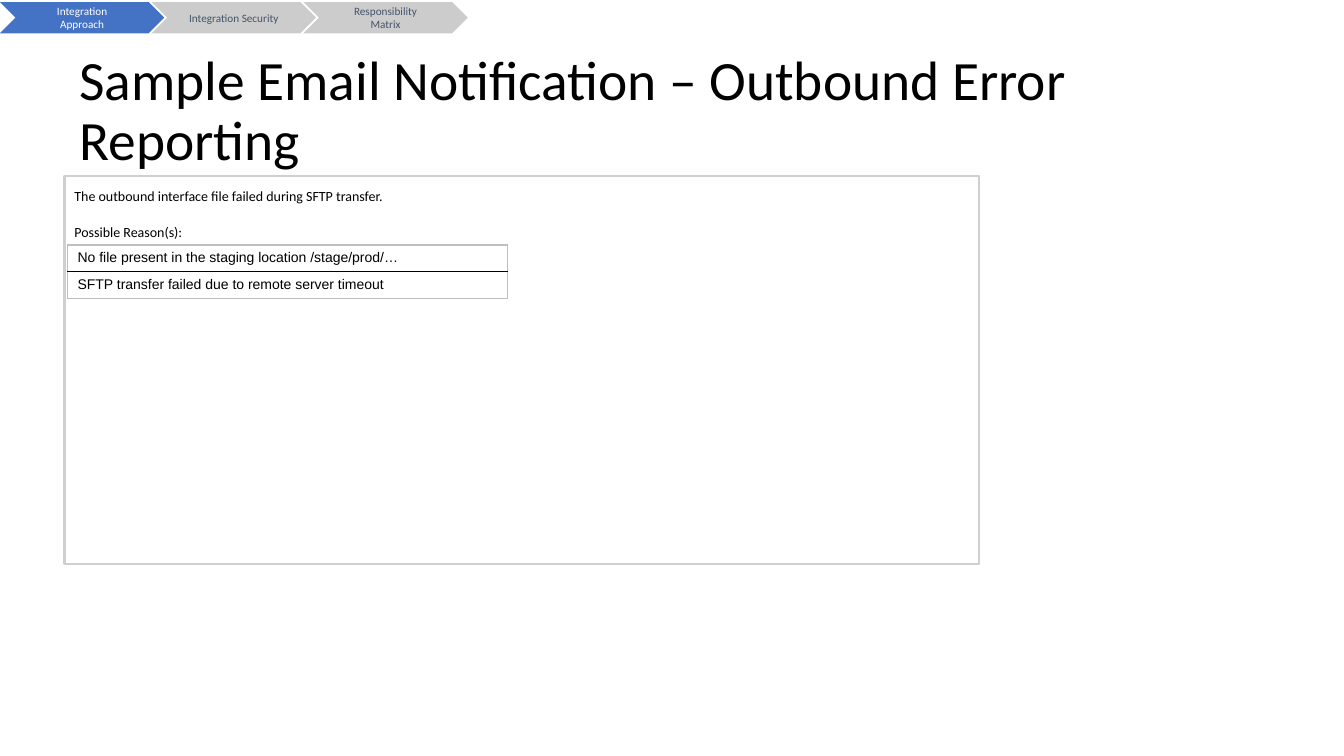
from dataclasses import dataclass

from lxml.etree import SubElement
from pptx import Presentation
from pptx.dml.color import RGBColor as Rgb
from pptx.enum.shapes import MSO_SHAPE as Shape
from pptx.enum.text import MSO_ANCHOR as Anchor, PP_ALIGN as Align
from pptx.oxml.ns import qn
from pptx.util import Inches, Pt


@dataclass(frozen=True)
class Theme:
    font: str = "Calibri"
    cell_font: str = "Arial"
    ink: str = "000000"
    white: str = "FFFFFF"
    blue: str = "4472C4"
    slate: str = "44546A"
    gray: str = "CCCCCC"
    frame: str = "D0CECE"
    edge: str = "BFBFBF"
    title: float = 39.6
    body: float = 10
    step: float = 8


THEME = Theme()


def write(frame, *lines, font=THEME.font, size=THEME.body, color=THEME.ink,
          align=Align.LEFT, anchor=Anchor.TOP, pad=(0.1, 0.05), space=1.0, gap=0):
    """Fill a text frame, one paragraph for each line."""
    frame.word_wrap = True
    frame.vertical_anchor = anchor
    frame.margin_left = frame.margin_right = Inches(pad[0])
    frame.margin_top = frame.margin_bottom = Inches(pad[1])
    for i, line in enumerate(lines):
        para = frame.add_paragraph() if i else frame.paragraphs[0]
        para.alignment = align
        para.line_spacing = space
        para.space_before = Pt(gap if i else 0)
        run = para.add_run()
        run.text = line
        run.font.name = font
        run.font.size = Pt(size)
        run.font.color.rgb = Rgb.from_string(color)


def add_shape(slide, kind, box, fill=None, line=None):
    shape = slide.shapes.add_shape(kind, *map(Inches, box))
    shape.shadow.inherit = False
    if fill:
        shape.fill.solid()
        shape.fill.fore_color.rgb = Rgb.from_string(fill)
    else:
        shape.fill.background()
    if line:
        shape.line.color.rgb = Rgb.from_string(line)
        shape.line.width = Pt(1.5)
    else:
        shape.line.fill.background()
    return shape


def add_title(slide, text):
    box = slide.shapes.add_textbox(*map(Inches, (0.69, 0.82, 11.97, 0.59)))
    write(box.text_frame, text, size=THEME.title, anchor=Anchor.MIDDLE, space=0.9)


def add_steps(slide, steps):
    """Draw the chevron trail with its first step active."""
    for i, step in enumerate(steps):
        fill, color = (THEME.gray, THEME.slate) if i else (THEME.blue, THEME.white)
        shape = add_shape(slide, Shape.CHEVRON, (1.505 * i, 0.02, 1.63, 0.31), fill)
        write(shape.text_frame, step, size=THEME.step, color=color,
              align=Align.CENTER, anchor=Anchor.MIDDLE, pad=(0.2, 0))


def set_edges(cell, **edges):
    props = cell._tc.get_or_add_tcPr()
    for i, side in enumerate("LRTB"):
        line = SubElement(props, qn(f"a:ln{side}"), w=str(Pt(1)))
        fill = SubElement(line, qn("a:solidFill"))
        SubElement(fill, qn("a:srgbClr"), val=edges.get(side, THEME.edge))
        props.insert(i, line)


def add_reasons(slide, reasons):
    high = 0.26
    box = (0.67, 2.43, 4.36, high * len(reasons))
    table = slide.shapes.add_table(len(reasons), 1, *map(Inches, box)).table
    table.first_row = table.horz_banding = False
    for i, reason in enumerate(reasons):
        table.rows[i].height = Inches(high)
        cell = table.cell(i, 0)
        cell.fill.background()
        write(cell.text_frame, reason, font=THEME.cell_font)
        inner = {"T": i > 0, "B": i < len(reasons) - 1}
        set_edges(cell, **{side: THEME.ink for side, on in inner.items() if on})


def main():
    deck = Presentation()
    deck.slide_width, deck.slide_height = Inches(13.33), Inches(7.5)
    slide = deck.slides.add_slide(deck.slide_layouts[6])
    add_title(slide, "Sample Email Notification – Outbound Error Reporting")
    mail = add_shape(slide, Shape.RECTANGLE, (0.64, 1.75, 9.07, 3.85), line=THEME.frame)
    write(mail.text_frame, "The outbound interface file failed during SFTP transfer.",
          "Possible Reason(s):", pad=(0.1, 0.1), space=1.06, gap=13)
    add_reasons(slide, ["No file present in the staging location /stage/prod/…",
                        "SFTP transfer failed due to remote server timeout"])
    add_steps(slide, ["Integration Approach", "Integration Security",
                      "Responsibility Matrix"])
    deck.save("out.pptx")


if __name__ == "__main__":
    main()
